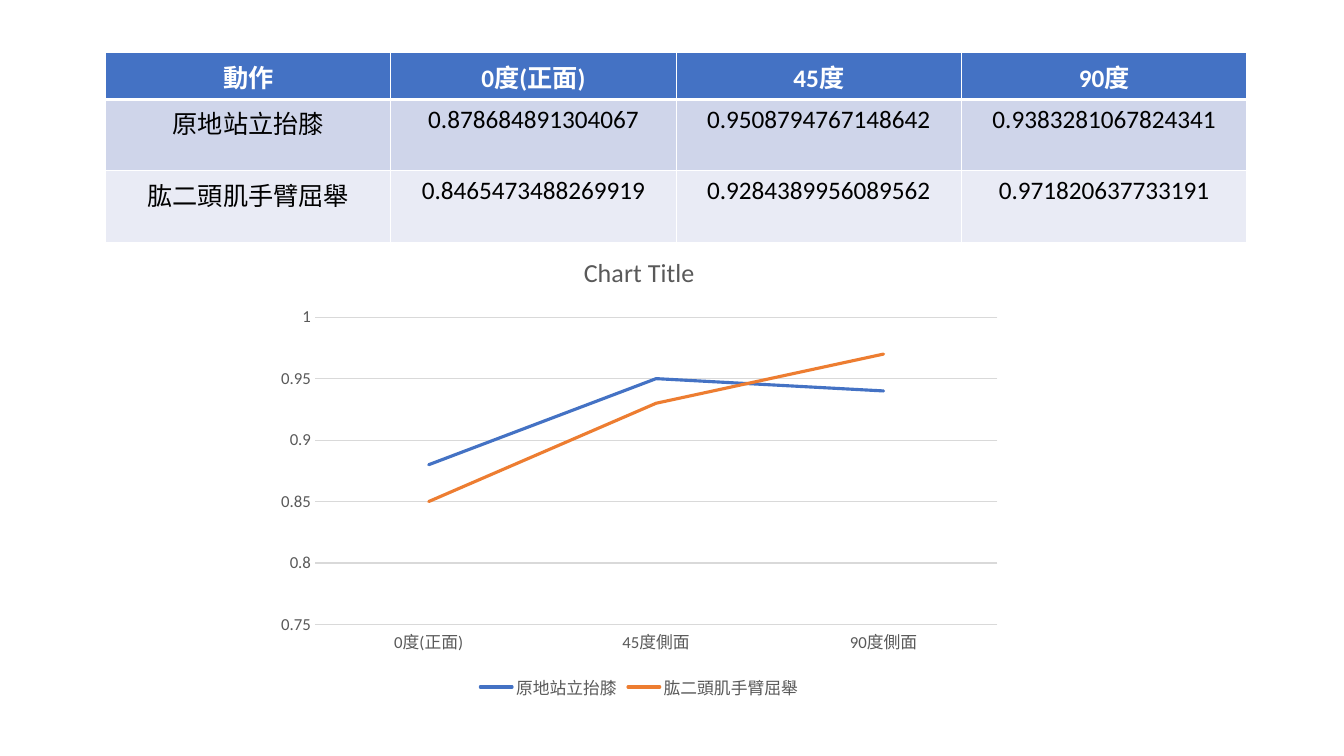
from dataclasses import dataclass

from lxml import etree
from pptx import Presentation
from pptx import util as u
from pptx.chart.data import CategoryChartData
from pptx.dml.color import RGBColor
from pptx.enum import chart as charts, text
from pptx.oxml import ns


@dataclass(frozen=True)
class Theme:
    font: str = "Calibri"
    white: str = "FFFFFF"
    black: str = "000000"
    grey: str = "595959"
    grid: str = "D9D9D9"
    header: str = "4472C4"
    bands: tuple = ("CFD5EA", "E9EBF5")
    lines: tuple = ("4472C4", "ED7D31")
    title: float = 18.6
    large: int = 18
    small: int = 12


THEME = Theme()
ACTION_HEADING = "動作"
TABLE_ANGLES = ("0度(正面)", "45度", "90度")
CHART_ANGLES = ("0度(正面)", "45度側面", "90度側面")
SCORES = {
    "原地站立抬膝": ("0.878684891304067", "0.9508794767148642", "0.9383281067824341"),
    "肱二頭肌手臂屈舉": ("0.8465473488269919", "0.9284389956089562", "0.971820637733191"),
}


def style_font(font, size, color, bold=False):
    font.name = THEME.font
    font.size = u.Pt(size)
    font.bold = bold
    font.color.rgb = RGBColor.from_string(color)


def style_line(line, color, points):
    line.color.rgb = RGBColor.from_string(color)
    line.width = u.Pt(points)


def set_borders(cell, bottom):
    """Add white cell edges, which must stand before the fill."""
    properties = cell._tc.get_or_add_tcPr()
    widths = {"a:lnL": 1, "a:lnR": 1, "a:lnT": 1, "a:lnB": bottom}
    for position, (edge, points) in enumerate(widths.items()):
        border = etree.Element(ns.qn(edge), w=str(u.Pt(points)))
        fill = etree.SubElement(border, ns.qn("a:solidFill"))
        etree.SubElement(fill, ns.qn("a:srgbClr"), val=THEME.white)
        properties.insert(position, border)


def fill_cell(cell, content, fill, color, bold=False, bottom=1):
    cell.fill.solid()
    cell.fill.fore_color.rgb = RGBColor.from_string(fill)
    set_borders(cell, bottom)
    cell.text_frame.text = content
    paragraph = cell.text_frame.paragraphs[0]
    paragraph.alignment = text.PP_ALIGN.CENTER
    style_font(paragraph.runs[0].font, THEME.large, color, bold)


def add_score_table(slide):
    heights = (u.Cm(1.14), u.Cm(1.8), u.Cm(1.8))
    scores = slide.shapes.add_table(
        len(SCORES) + 1, len(TABLE_ANGLES) + 1,
        u.Cm(2.66), u.Cm(1.33), u.Cm(28.76), sum(heights)).table
    scores.horz_banding = False
    for row, height in zip(scores.rows, heights):
        row.height = height

    # Header row
    for column, heading in enumerate((ACTION_HEADING, *TABLE_ANGLES)):
        fill_cell(scores.cell(0, column), heading, THEME.header,
                  THEME.white, bold=True, bottom=3)

    # One banded row per exercise
    for row, (exercise, values) in enumerate(SCORES.items(), start=1):
        for column, content in enumerate((exercise, *values)):
            fill_cell(scores.cell(row, column), content,
                      THEME.bands[row - 1], THEME.black)


def style_axis(axis):
    axis.major_tick_mark = charts.XL_TICK_MARK.NONE
    axis.minor_tick_mark = charts.XL_TICK_MARK.NONE
    style_font(axis.tick_labels.font, THEME.small, THEME.grey)


def add_score_chart(slide):
    data = CategoryChartData()
    data.categories = CHART_ANGLES
    for exercise, values in SCORES.items():
        data.add_series(exercise, [round(float(value), 2) for value in values])
    chart = slide.shapes.add_chart(
        charts.XL_CHART_TYPE.LINE, u.Cm(6.71), u.Cm(5.92),
        u.Cm(18.8), u.Cm(11.81), data).chart
    style_font(chart.font, THEME.small, THEME.grey)

    # Title and legend
    chart.has_title = True
    title = chart.chart_title.text_frame
    title.text = "Chart Title"
    style_font(title.paragraphs[0].runs[0].font, THEME.title, THEME.grey)
    chart.has_legend = True
    chart.legend.position = charts.XL_LEGEND_POSITION.BOTTOM
    chart.legend.include_in_layout = False
    style_font(chart.legend.font, THEME.small, THEME.grey)

    # Axes
    angles, accuracy = chart.category_axis, chart.value_axis
    style_axis(angles)
    style_line(angles.format.line, THEME.grid, 0.75)
    style_axis(accuracy)
    accuracy.minimum_scale, accuracy.maximum_scale = 0.75, 1
    accuracy.major_unit = 0.05
    accuracy.tick_labels.number_format = "General"
    accuracy.tick_labels.number_format_is_linked = False
    accuracy.format.line.fill.background()
    style_line(accuracy.major_gridlines.format.line, THEME.grid, 0.75)

    # Exercise lines with round ends
    chart.plots[0].vary_by_categories = False
    for exercise, color in zip(chart.plots[0].series, THEME.lines):
        exercise.smooth = False
        exercise.marker.style = charts.XL_MARKER_STYLE.NONE
        style_line(exercise.format.line, color, 2.25)
        exercise._element.find(".//" + ns.qn("a:ln")).set("cap", "rnd")


def main():
    deck = Presentation()
    deck.slide_width, deck.slide_height = u.Cm(33.87), u.Cm(19.05)
    slide = deck.slides.add_slide(deck.slide_layouts[6])
    add_score_table(slide)
    add_score_chart(slide)
    deck.save("out.pptx")


main()
